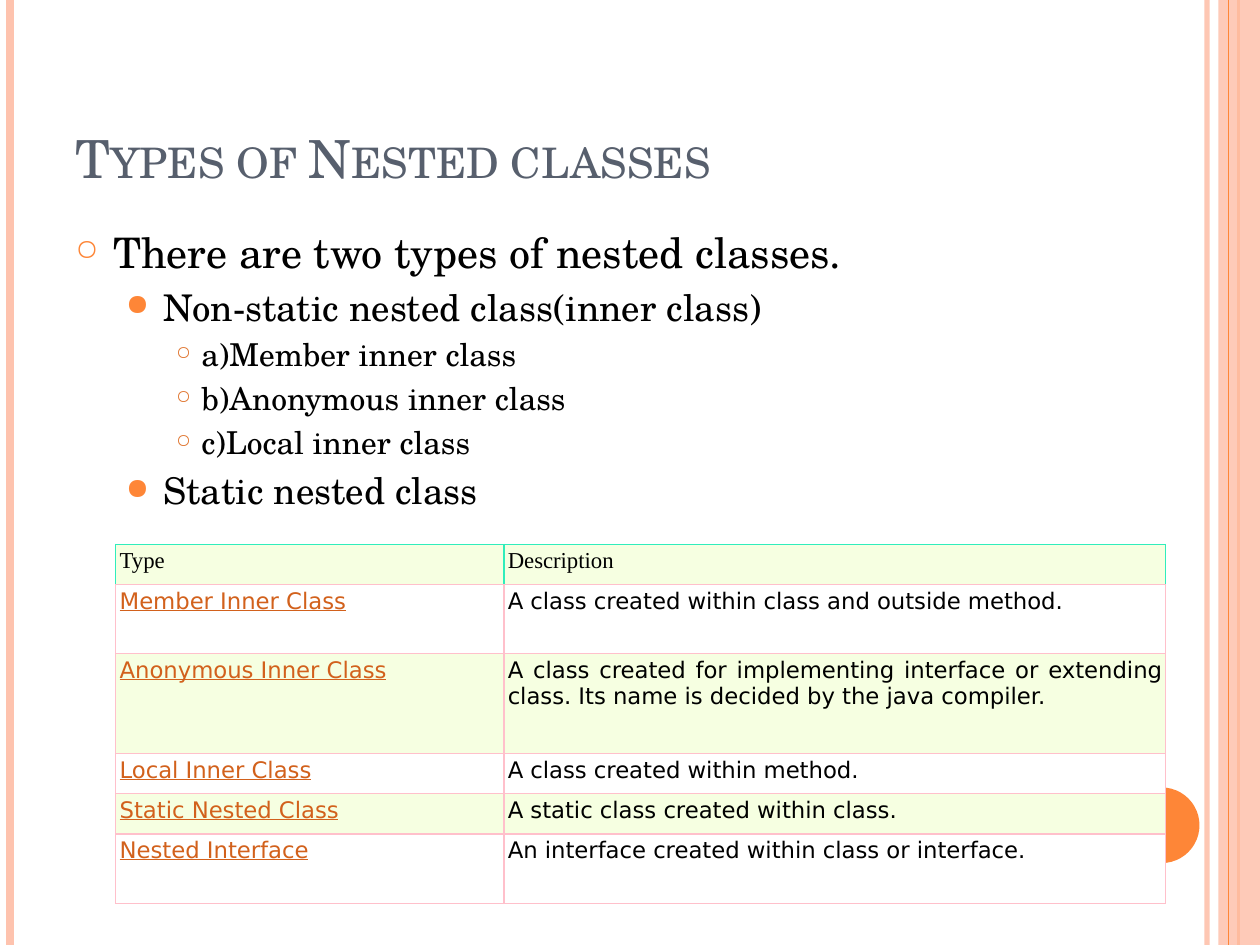
import pptx
import pptx.util
import pptx.dml.color
import pptx.enum.shapes
import pptx.enum.text
import pptx.oxml.ns
from dataclasses import dataclass
from lxml import etree

Inches, Pt = pptx.util.Inches, pptx.util.Pt
RGB = pptx.dml.color.RGBColor.from_string
Shape = pptx.enum.shapes.MSO_SHAPE
Align, Anchor = pptx.enum.text.PP_ALIGN, pptx.enum.text.MSO_ANCHOR
qn = pptx.oxml.ns.qn


@dataclass(frozen=True)
class Theme:
    orange: str = "FE8637"
    rust: str = "E0752F"
    peach: str = "FEC3AE"
    slate: str = "575F6D"
    black: str = "000000"
    white: str = "FFFFFF"
    lime: str = "F6FFE1"
    link: str = "D2611C"
    pink: str = "FFC0CB"
    teal: str = "30EDBC"
    serif: str = "TeX Gyre Schola"
    sans: str = "DejaVu Sans"
    roman: str = "Times New Roman"
    title: int = 30
    levels: tuple = (24, 21, 18)
    cell: int = 13


def child(parent, tag, **attrs):
    return etree.SubElement(parent, qn(tag), attrs)


def fade(fill, alpha):
    """Make a solid fill partly transparent; alpha is percent opaque."""
    for color in fill.iter(qn("a:srgbClr")):
        child(color, "a:alpha", val=str(alpha * 1000))


def write(para, text, size, font, color, under=None, caps=False, align=None):
    run = para.add_run()
    run.text = text
    run.font.size = Pt(size)
    run.font.name = font
    run.font.color.rgb = RGB(color)
    run.font.underline = under
    if caps:
        run.font._element.set("cap", "small")
    para.alignment = align


def bullet(para, char, color, scale, left, hang):
    props = para._p.get_or_add_pPr()
    props.set("marL", str(Inches(left)))
    props.set("indent", str(-Inches(hang)))
    child(child(props, "a:buClr"), "a:srgbClr", val=color)
    child(props, "a:buSzPct", val=str(scale * 1000))
    child(props, "a:buChar", char=char)


def border(cell, **sides):
    """Draw cell edges; sides are L, R, T, B with a colour each."""
    props = cell._tc.get_or_add_tcPr()
    for spot, (side, color) in enumerate(sides.items()):
        edge = etree.Element(qn("a:ln" + side), w=str(Pt(0.75)))
        child(child(edge, "a:solidFill"), "a:srgbClr", val=color)
        props.insert(spot, edge)


class Deck:
    def __init__(self, theme, slide):
        self.theme, self.slide = theme, slide

    def rule(self, x, color, width, alpha=None):
        line = self.slide.shapes.add_connector(
            pptx.enum.shapes.MSO_CONNECTOR.STRAIGHT,
            Inches(x), 0, Inches(x), Inches(7.5))
        line.line.color.rgb = RGB(color)
        line.line.width = Pt(width)
        props = line._element.spPr
        if alpha:
            fade(props, alpha)
        child(props, "a:effectLst")

    def shape(self, kind, box, color, alpha=None):
        shape = self.slide.shapes.add_shape(kind, *map(Inches, box))
        shape.shadow.inherit = False
        shape.fill.solid()
        shape.fill.fore_color.rgb = RGB(color)
        shape.line.fill.background()
        if alpha:
            fade(shape._element.spPr, alpha)

    def frame(self, box, anchor=Anchor.TOP):
        frame = self.slide.shapes.add_textbox(*map(Inches, box)).text_frame
        frame.word_wrap = True
        frame.vertical_anchor = anchor
        return frame

    def title(self, box, text):
        t = self.theme
        para = self.frame(box, Anchor.BOTTOM).paragraphs[0]
        write(para, text, t.title, t.serif, t.slate, caps=True)

    def outline(self, box, items):
        t = self.theme
        marks = (("○", t.orange, 70, 0.3, 0.3),
                 ("●", t.orange, 80, 0.7, 0.3),
                 ("○", t.rust, 60, 1, 0.2))
        frame = self.frame(box)
        for i, (level, text) in enumerate(items):
            para = frame.add_paragraph() if i else frame.paragraphs[0]
            size = t.levels[level]
            bullet(para, *marks[level])
            para.level = level
            if i:
                para.space_before = Pt(round(size * 0.2, 1))
            write(para, text, size, t.serif, t.black)

    def table(self, box, widths, heights, rows):
        t = self.theme
        table = self.slide.shapes.add_table(
            len(rows), len(widths), *map(Inches, box)).table
        table.first_row = table.horz_banding = False
        for col, width in zip(table.columns, widths):
            col.width = Inches(width)
        for r, (row, height) in enumerate(zip(rows, heights)):
            table.rows[r].height = Inches(height)
            for c, text in enumerate(row):
                self.cell(table.cell(r, c), text, r, c)

    def cell(self, cell, text, r, c):
        t = self.theme
        cell.margin_left = cell.margin_right = Inches(0.03)
        cell.margin_top = cell.margin_bottom = Inches(0.03)
        cell.fill.solid()
        cell.fill.fore_color.rgb = RGB(t.white if r % 2 else t.lime)
        side = t.pink if r else t.teal
        border(cell, L=side, R=side, T=t.pink if r else t.teal, B=t.pink)
        para = cell.text_frame.paragraphs[0]
        if r == 0:
            write(para, text, t.cell, t.roman, t.black)
        else:
            write(para, text, t.cell, t.sans, t.black if c else t.link,
                  under=c == 0, align=Align.JUSTIFY)


def main():
    prs = pptx.Presentation()
    prs.slide_width, prs.slide_height = Inches(10), Inches(7.5)
    t = Theme()
    deck = Deck(t, prs.slides.add_slide(prs.slide_layouts[6]))

    deck.rule(9.58, t.peach, 3, alpha=93)
    deck.rule(0.08, t.peach, 4.5)
    deck.rule(9.83, t.orange, 1.5)
    deck.shape(Shape.RECTANGLE, (9.67, 0, 0.33, 7.5), t.peach, alpha=87)
    deck.rule(9.75, t.orange, 0.75)
    deck.shape(Shape.OVAL, (8.92, 6.25, 0.6, 0.6), t.orange)

    deck.title((0.5, 0.3, 8.17, 1.25), "Types of Nested classes")
    deck.outline((0.5, 1.75, 8.17, 5.33), (
        (0, "There are two types of nested classes."),
        (1, "Non-static nested class(inner class)"),
        (2, "a)Member inner class"),
        (2, "b)Anonymous inner class"),
        (2, "c)Local inner class"),
        (1, "Static nested class")))
    deck.table(
        (0.92, 4.32, 8.33, 2.85), (3.08, 5.25),
        (0.32, 0.55, 0.79, 0.32, 0.32, 0.55), (
            ("Type", "Description"),
            ("Member Inner Class",
             "A class created within class and outside method."),
            ("Anonymous Inner Class",
             "A class created for implementing interface or extending class. "
             "Its name is decided by the java compiler."),
            ("Local Inner Class", "A class created within method."),
            ("Static Nested Class", "A static class created within class."),
            ("Nested Interface",
             "An interface created within class or interface.")))
    prs.save("out.pptx")


if __name__ == "__main__":
    main()
